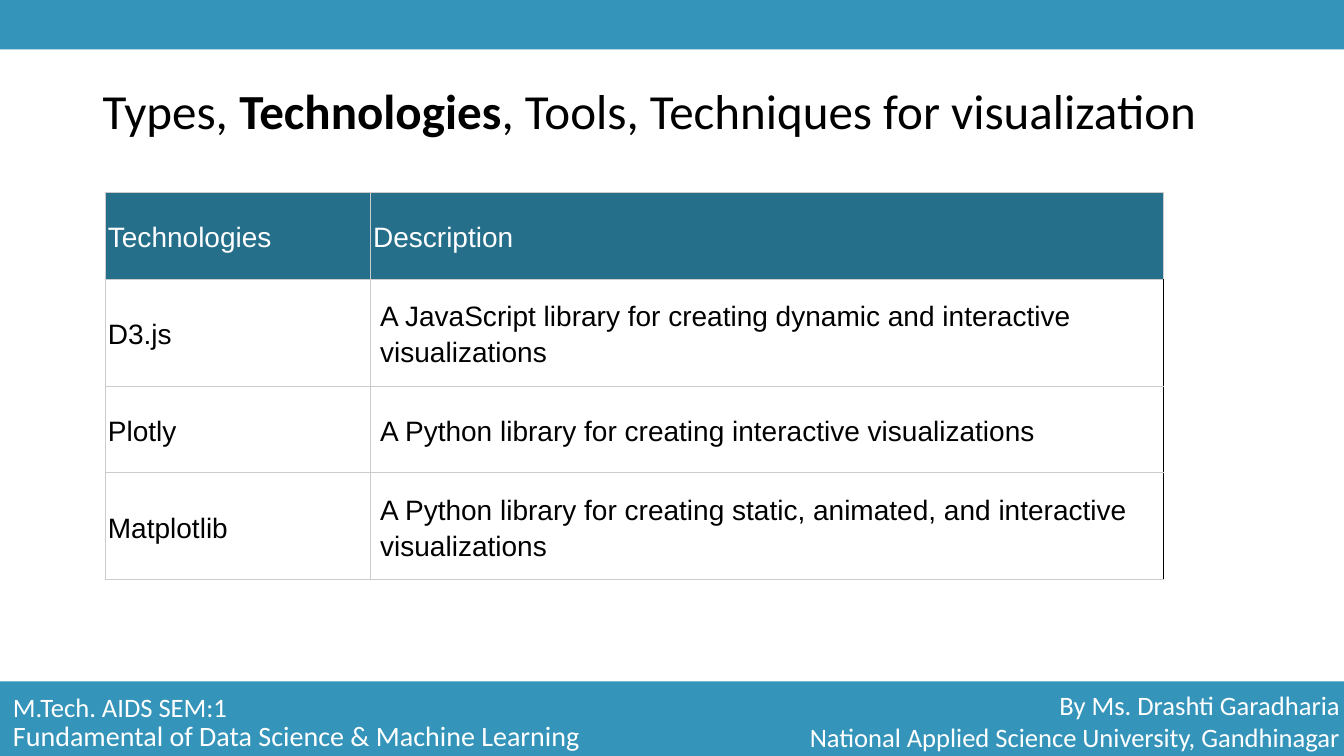
from lxml import etree
from pptx import Presentation, util as u
from pptx.dml.color import RGBColor
from pptx.enum import shapes, text
from pptx.oxml.ns import qn

WIDTH, HEIGHT = 13.33, 7.5
BAND, HEADER, GRID = "3494BA", "266F8B", "CCCCCC"
WHITE, BLACK = "FFFFFF", "000000"
MIDDLE = text.MSO_ANCHOR.MIDDLE


def write(paragraph, content, size=20, font="Calibri", color=WHITE, bold=False,
          align=text.PP_ALIGN.LEFT, spacing=1.0):
    """Add one formatted run to the paragraph."""
    paragraph.alignment = align
    paragraph.line_spacing = spacing
    run = paragraph.add_run()
    run.text = content
    run.font.size = u.Pt(size)
    run.font.name = font
    run.font.bold = bold
    run.font.color.rgb = RGBColor.from_string(color)


def set_border(cell, side, color):
    """Draw one side (L, R, T or B) of a table cell."""
    line = etree.SubElement(cell._tc.get_or_add_tcPr(), qn("a:ln" + side), w=str(u.Pt(0.6)))
    fill = etree.SubElement(line, qn("a:solidFill"))
    etree.SubElement(fill, qn("a:srgbClr"), val=color)


presentation = Presentation()
presentation.slide_width = u.Inches(WIDTH)
presentation.slide_height = u.Inches(HEIGHT)
slide = presentation.slides.add_slide(presentation.slide_layouts[6])

# Bands along the top and bottom edges
for top, height in [(0, 0.49), (HEIGHT - 0.74, 0.74)]:
    band = slide.shapes.add_shape(shapes.MSO_SHAPE.RECTANGLE, 0, u.Inches(top),
                                  u.Inches(WIDTH), u.Inches(height))
    band.shadow.inherit = False
    band.fill.solid()
    band.fill.fore_color.rgb = RGBColor.from_string(BAND)
    band.line.fill.background()

# Footer: course on the left, lecturer on the right
footers = [
    (0.03, 6.81, 0.29, text.PP_ALIGN.LEFT, 19, ["M.Tech. AIDS SEM:1"]),
    (0.03, 7.08, 0.29, text.PP_ALIGN.LEFT, 20,
     ["Fundamental of Data Science & Machine Learning"]),
    (WIDTH / 2, 6.79, 0.74, text.PP_ALIGN.RIGHT, 19,
     ["By Ms. Drashti Garadharia", "National Applied Science University, Gandhinagar"]),
]
for left, top, height, align, size, lines in footers:
    frame = slide.shapes.add_textbox(u.Inches(left), u.Inches(top),
                                     u.Inches(6.72), u.Inches(height)).text_frame
    frame.word_wrap = True
    for index, line in enumerate(lines):
        paragraph = frame.add_paragraph() if index else frame.paragraphs[0]
        write(paragraph, line, size=size, align=align)

# Title
title = slide.shapes.add_textbox(u.Inches(0.92), u.Inches(0.4),
                                 u.Inches(11.5), u.Inches(1.45)).text_frame
title.word_wrap = True
title.vertical_anchor = MIDDLE
for content, bold in [("Types, ", False), ("Technologies", True),
                      (", Tools, Techniques for visualization", False)]:
    write(title.paragraphs[0], content, size=35, color=BLACK, bold=bold, spacing=0.9)
title.paragraphs[0].space_before = u.Pt(10)

# Table of technologies
rows = [
    ("Technologies", "Description"),
    ("D3.js", "A JavaScript library for creating dynamic and interactive visualizations"),
    ("Plotly", "A Python library for creating interactive visualizations"),
    ("Matplotlib",
     "A Python library for creating static, animated, and interactive visualizations"),
]
column_widths = [2.63, 7.87]
row_heights = [0.86, 1.06] * 2
table = slide.shapes.add_table(len(rows), len(column_widths), u.Inches(1.04), u.Inches(1.91),
                               u.Inches(sum(column_widths)),
                               u.Inches(sum(row_heights))).table
table.first_row = table.horz_banding = False
for column, width in zip(table.columns, column_widths):
    column.width = u.Inches(width)
for r, (row, height) in enumerate(zip(rows, row_heights)):
    table.rows[r].height = u.Inches(height)
    for c, content in enumerate(row):
        cell = table.cell(r, c)
        is_header = r == 0
        is_description = c == 1 and not is_header
        cell.vertical_anchor = MIDDLE
        cell.margin_left = cell.margin_right = u.Inches(0.1 if is_description else 0.03)
        cell.margin_top = cell.margin_bottom = u.Inches(0.02)
        for side in "LRTB":
            set_border(cell, side, BLACK if is_description and side == "R" else GRID)
        if is_header:
            cell.fill.solid()
            cell.fill.fore_color.rgb = RGBColor.from_string(HEADER)
        else:
            cell.fill.background()
        write(cell.text_frame.paragraphs[0], content, font="Arial",
              color=WHITE if is_header else BLACK, spacing=1.15)

presentation.save("out.pptx")
